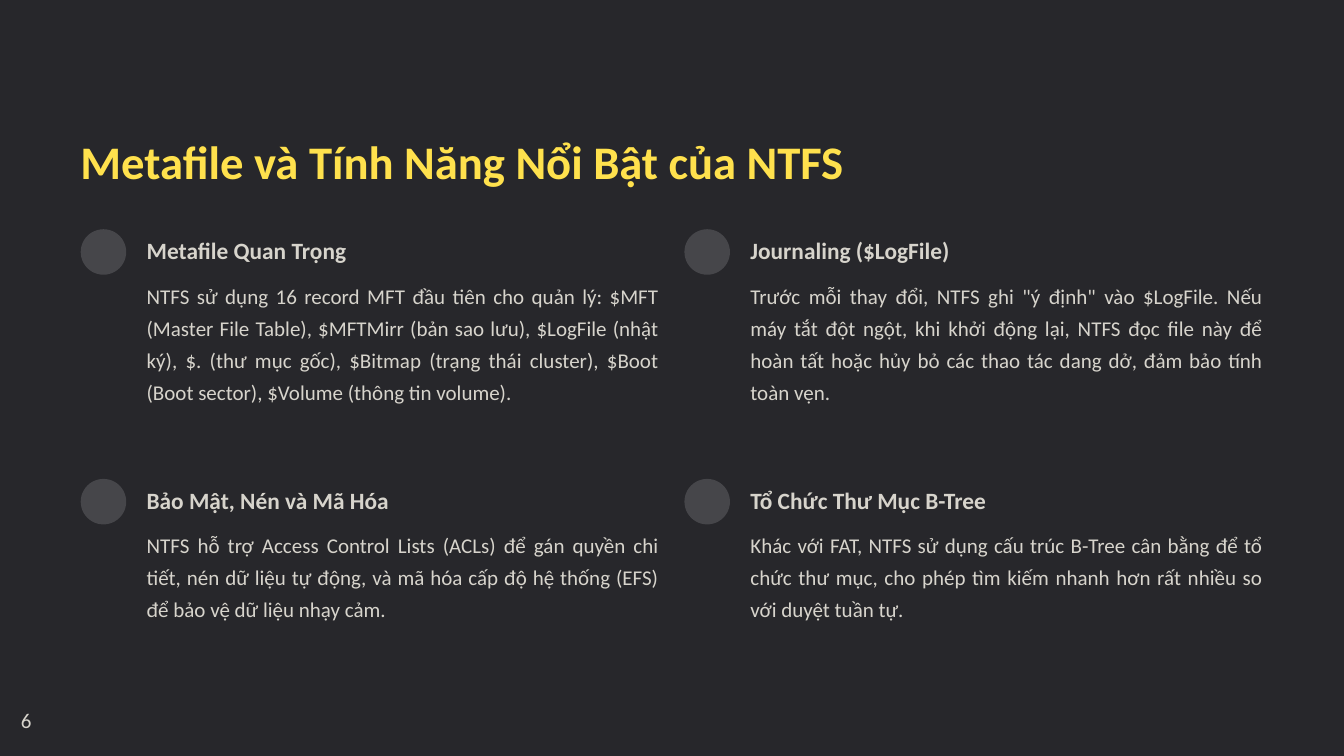
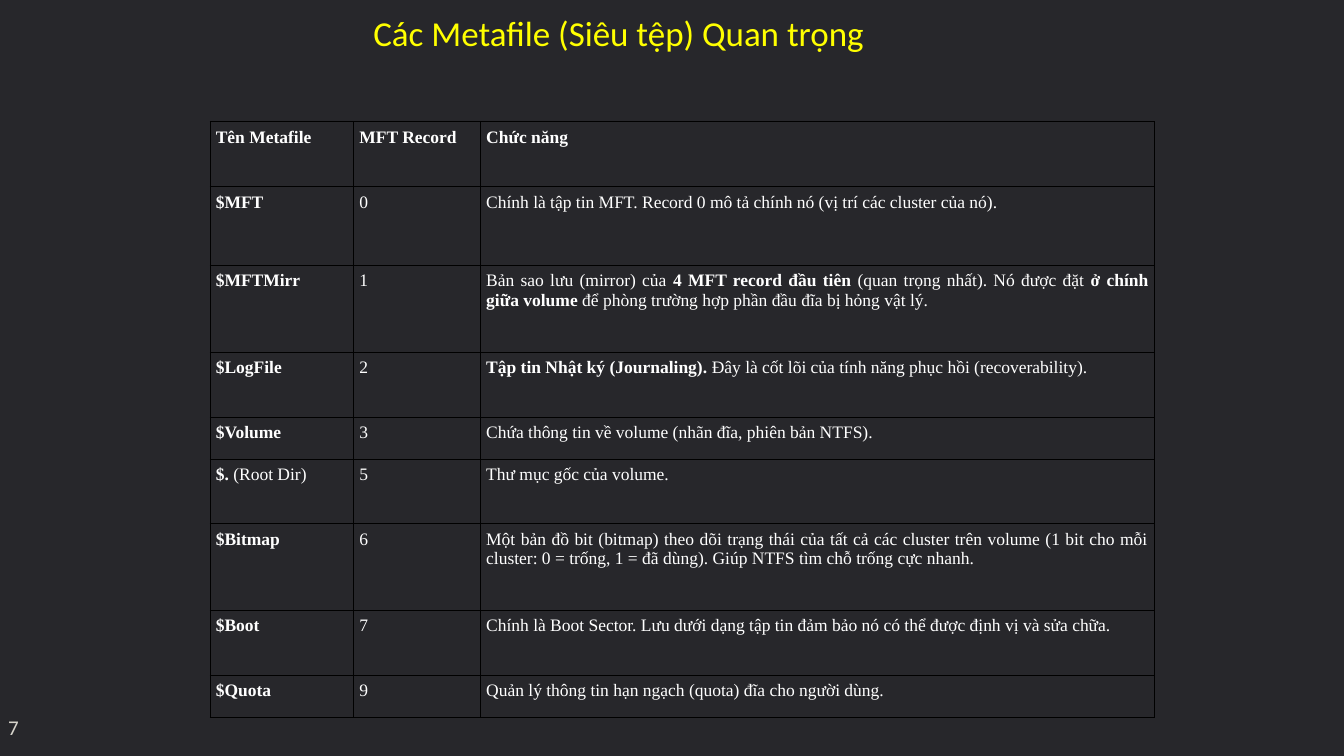
from typing import NamedTuple

from lxml import etree
from pptx import Presentation
from pptx.dml.color import RGBColor
from pptx.enum.shapes import MSO_SHAPE
from pptx.enum.text import MSO_ANCHOR, MSO_AUTO_SIZE, PP_ALIGN
from pptx.oxml.ns import qn
from pptx.slide import Slide
from pptx.table import _Cell
from pptx.text.text import TextFrame
from pptx.util import Pt

ROUND = MSO_SHAPE.ROUNDED_RECTANGLE
TOP = MSO_ANCHOR.TOP
FIXED, GROW = MSO_AUTO_SIZE.NONE, MSO_AUTO_SIZE.SHAPE_TO_FIT_TEXT
LEFT, JUSTIFY = PP_ALIGN.LEFT, PP_ALIGN.JUSTIFY

# Shared look
DARK, GREY, PALE = "27272B", "46464A", "D7D4CC"
GOLD, YELLOW, WHITE, BLACK = "FFE14D", "FFFF00", "FFFFFF", "000000"
SANS, SERIF = "Calibri", "Times New Roman"


class Box(NamedTuple):
    left: float
    top: float
    width: float
    height: float


class Topic(NamedTuple):
    head: str
    body: str


class Entry(NamedTuple):
    high: float
    name: str
    record: str
    role: str


TOPICS = [
    Topic("Metafile Quan Trọng",
          "NTFS sử dụng 16 record MFT đầu tiên cho quản lý: $MFT (Master File Table), "
          "$MFTMirr (bản sao lưu), $LogFile (nhật ký), $. (thư mục gốc), $Bitmap "
          "(trạng thái cluster), $Boot (Boot sector), $Volume (thông tin volume)."),
    Topic("Journaling ($LogFile)",
          'Trước mỗi thay đổi, NTFS ghi "ý định" vào $LogFile. Nếu máy tắt đột ngột, '
          "khi khởi động lại, NTFS đọc file này để hoàn tất hoặc hủy bỏ các thao tác "
          "dang dở, đảm bảo tính toàn vẹn."),
    Topic("Bảo Mật, Nén và Mã Hóa",
          "NTFS hỗ trợ Access Control Lists (ACLs) để gán quyền chi tiết, nén dữ liệu "
          "tự động, và mã hóa cấp độ hệ thống (EFS) để bảo vệ dữ liệu nhạy cảm."),
    Topic("Tổ Chức Thư Mục B-Tree",
          "Khác với FAT, NTFS sử dụng cấu trúc B-Tree cân bằng để tổ chức thư mục, "
          "cho phép tìm kiếm nhanh hơn rất nhiều so với duyệt tuần tự."),
]

# Asterisks enclose bold words
ENTRIES = [
    Entry(55.6, "*Tên Metafile*", "*MFT Record*", "*Chức năng*"),
    Entry(67.7, "*$MFT*", "0",
          "Chính là tập tin MFT. Record 0 mô tả chính nó (vị trí các cluster của nó)."),
    Entry(74.2, "*$MFTMirr*", "1",
          "Bản sao lưu (mirror) của *4 MFT record đầu tiên* (quan trọng nhất). Nó được "
          "đặt *ở chính giữa volume* để phòng trường hợp phần đầu đĩa bị hỏng vật lý."),
    Entry(55.6, "*$LogFile*", "2",
          "*Tập tin Nhật ký (Journaling).* Đây là cốt lõi của tính năng phục hồi "
          "(recoverability)."),
    Entry(36, "*$Volume*", "3", "Chứa thông tin về volume (nhãn đĩa, phiên bản NTFS)."),
    Entry(55.6, "*$.* (Root Dir)", "5", "Thư mục gốc của volume."),
    Entry(74.2, "*$Bitmap*", "6",
          "Một bản đồ bit (bitmap) theo dõi trạng thái của tất cả các cluster trên "
          "volume (1 bit cho mỗi cluster: 0 = trống, 1 = đã dùng). Giúp NTFS tìm chỗ "
          "trống cực nhanh."),
    Entry(55.6, "*$Boot*", "7",
          "Chính là Boot Sector. Lưu dưới dạng tập tin đảm bảo nó có thể được định vị "
          "và sửa chữa."),
    Entry(36, "*$Quota*", "9", "Quản lý thông tin hạn ngạch (quota) đĩa cho người dùng."),
]
COLS = (123.1, 108.7, 577.6)


def paint(code: str) -> RGBColor:
    return RGBColor.from_string(code)


def write(frame: TextFrame, text: str, *, size: float, color: str = PALE,
          font: str = SANS, bold: bool = False, align: PP_ALIGN = LEFT,
          line: float | None = None, after: float | None = None) -> None:
    para = frame.paragraphs[0]
    para.alignment = align
    if line is not None:
        para.line_spacing = Pt(line)
    if after is not None:
        para.space_after = Pt(after)
    for at, part in enumerate(text.split("*")):
        if part:
            run = para.add_run()
            run.text = part
            run.font.size, run.font.name = Pt(size), font
            run.font.bold = bold or at % 2 == 1
            run.font.color.rgb = paint(color)


def inset(frame: TextFrame, gap: float) -> None:
    frame.margin_left = frame.margin_right = Pt(gap)
    frame.margin_top = frame.margin_bottom = Pt(gap)


def add_text(slide: Slide, box: Box, wrap: bool = True) -> TextFrame:
    frame = slide.shapes.add_textbox(*map(Pt, box)).text_frame
    frame.word_wrap = wrap
    return frame


def set_title(slide: Slide, box: Box) -> TextFrame:
    title = slide.shapes.title
    title.left, title.top, title.width, title.height = map(Pt, box)
    frame = title.text_frame
    frame.vertical_anchor, frame.auto_size = TOP, FIXED
    return frame


def add_page(slide: Slide, number: str, left: float, top: float) -> None:
    frame = add_text(slide, Box(left, top, 576, 38))
    frame.auto_size = GROW
    write(frame, number, size=18, line=34.5)


def add_topic(slide: Slide, topic: Topic, left: float, top: float) -> None:
    dot = slide.shapes.add_shape(ROUND, Pt(left), Pt(top), Pt(39), Pt(39))
    dot.adjustments[0] = 0.5
    dot.shadow.inherit = False
    dot.fill.solid()
    dot.fill.fore_color.rgb = paint(GREY)
    dot.line.fill.background()
    head = add_text(slide, Box(left + 56.5, top + 5.8, 230, 24), wrap=False)
    inset(head, 0)
    write(head, topic.head, size=20, bold=True, align=JUSTIFY, line=24)
    body = add_text(slide, Box(left + 56.5, top + 40.3, 439, 110))
    inset(body, 0)
    write(body, topic.body, size=18, align=JUSTIFY, line=27.5)


def edge(cell: _Cell) -> None:
    props = cell._tc.get_or_add_tcPr()
    for side in ("a:lnL", "a:lnR", "a:lnT", "a:lnB"):
        rule = etree.SubElement(props, qn(side), w=str(Pt(0.75)))
        fill = etree.SubElement(rule, qn("a:solidFill"))
        etree.SubElement(fill, qn("a:srgbClr"), val=BLACK)


def add_grid(slide: Slide, left: float, top: float) -> None:
    high = sum(entry.high for entry in ENTRIES)
    box = Box(left, top, sum(COLS), high)
    grid = slide.shapes.add_table(len(ENTRIES), len(COLS), *map(Pt, box)).table
    grid.first_row = grid.horz_banding = False
    for col, width in zip(grid.columns, COLS):
        col.width = Pt(width)
    for row, entry in zip(grid.rows, ENTRIES):
        row.height = Pt(entry.high)
        for cell, text in zip(row.cells, entry[1:]):
            edge(cell)
            cell.fill.background()
            inset(cell, 5)
            write(cell.text_frame, text, size=15, color=WHITE, font=SERIF,
                  align=JUSTIFY, after=24)


def main() -> None:
    deck = Presentation()
    deck.slide_width, deck.slide_height = Pt(1152), Pt(648)
    back = deck.slide_master.background.fill
    back.solid()
    back.fore_color.rgb = paint(DARK)
    plain = deck.slide_layouts[5]

    # Features in a two by two grid
    slide = deck.slides.add_slide(plain)
    frame = set_title(slide, Box(69, 113.8, 811, 48))
    frame.word_wrap = False
    inset(frame, 0)
    write(frame, "Metafile và Tính Năng Nổi Bật của NTFS", size=40, color=GOLD,
          bold=True, align=JUSTIFY, line=48)
    for at, topic in enumerate(TOPICS):
        row, col = divmod(at, 2)
        add_topic(slide, topic, 69.2 + 517.5 * col, 196.5 + 214 * row)
    add_page(slide, "6", 10.8, 590.4)

    # Table of metafiles
    slide = deck.slides.add_slide(plain)
    frame = set_title(slide, Box(306, 6.5, 527, 58))
    frame.margin_left = Pt(14)
    write(frame, "Các Metafile (Siêu tệp) Quan trọng", size=30, color=YELLOW)
    add_grid(slide, 180, 104.4)
    add_page(slide, "7", 0, 596.2)

    deck.save("out.pptx")


if __name__ == "__main__":
    main()
